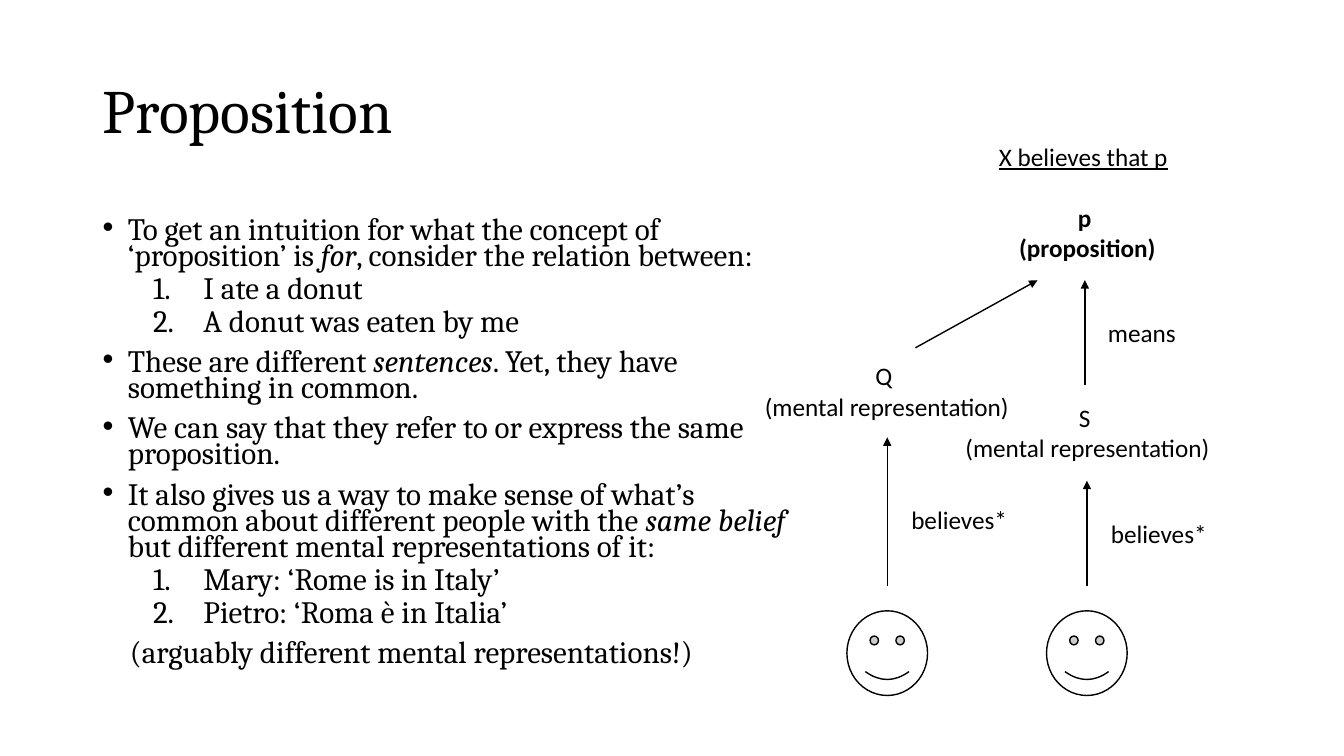
from pptx import Presentation
from pptx.dml.color import RGBColor
from pptx.enum import shapes, text
from pptx.oxml.ns import qn
from pptx.util import Inches, Pt
from lxml import etree

BLACK, WHITE = "000000", "FFFFFF"
LEFT, CENTER = text.PP_ALIGN.LEFT, text.PP_ALIGN.CENTER

# Kind of paragraph and its words; underscores enclose italics.
BODY = [
    ("bullet", "To get an intuition for what the concept of ‘proposition’ is _for_, "
               "consider the relation between:"),
    ("number", "I ate a donut"),
    ("number", "A donut was eaten by me"),
    ("bullet", "These are different _sentences_. Yet, they have something in common."),
    ("bullet", "We can say that they refer to or express the same proposition."),
    ("bullet", "It also gives us a way to make sense of what’s common about different "
               "people with the _same belief_ but different mental representations of it:"),
    ("number", "Mary: ‘Rome is in Italy’"),
    ("number", "Pietro: ‘Roma è in Italia’"),
    ("plain", "(arguably different mental representations!)"),
]
# Left margin and first-line indent in inches, space before in points.
LAYOUT = {"bullet": (0.25, -0.25, 10), "number": (1, -0.5, 5), "plain": (0.27, 0, 10)}


def color(value):
    return RGBColor.from_string(value)


def set_font(font, name, size):
    font.name, font.size = name, Pt(size)
    font.color.rgb = color(BLACK)


def add_title(page, words):
    title = page.shapes.title
    title.left, title.top = Inches(0.92), Inches(0.4)
    title.width, title.height = Inches(11.5), Inches(1.45)
    title.text_frame.text = words
    title.text_frame.vertical_anchor = text.MSO_ANCHOR.MIDDLE
    para = title.text_frame.paragraphs[0]
    para.alignment, para.line_spacing = LEFT, 0.9
    set_font(para.font, "Cambria", 44)


def set_marker(para, kind):
    left, indent, before = LAYOUT[kind]
    para.line_spacing, para.space_before = 0.7, Pt(before)
    props = para._p.get_or_add_pPr()
    props.set("marL", str(Inches(left)))
    props.set("indent", str(Inches(indent)))
    if kind == "bullet":
        etree.SubElement(props, qn("a:buFont"), typeface="Arial")
        etree.SubElement(props, qn("a:buChar"), char="•")
    elif kind == "number":
        para.level = 1
        etree.SubElement(props, qn("a:buFont"), typeface="+mj-lt")
        etree.SubElement(props, qn("a:buAutoNum"), type="arabicPeriod")


def add_body(page):
    box = page.shapes.add_textbox(Inches(0.92), Inches(1.75), Inches(6.97), Inches(5.31))
    frame = box.text_frame
    frame.word_wrap = True
    frame.vertical_anchor = text.MSO_ANCHOR.MIDDLE
    for index, (kind, words) in enumerate(BODY):
        para = frame.add_paragraph() if index else frame.paragraphs[0]
        set_marker(para, kind)
        set_font(para.font, "Cambria", 22.2)
        for part, piece in enumerate(words.split("_")):
            span = para.add_run()
            span.text = piece
            if part % 2:
                span.font.italic = True


def add_label(page, lines, left, top, width, bold=None, underline=None):
    """One line is set left, several lines are centred."""
    height = 0.4 if len(lines) == 1 else 0.71
    box = page.shapes.add_textbox(Inches(left), Inches(top), Inches(width), Inches(height))
    frame = box.text_frame
    frame.word_wrap = False
    frame.text = "\n".join(lines)
    for para in frame.paragraphs:
        para.alignment = LEFT if len(lines) == 1 else CENTER
        set_font(para.font, "Calibri", 18)
        para.font.bold, para.font.underline = bold, underline


def add_arrow(page, x1, y1, x2, y2):
    arrow = page.shapes.add_connector(
        shapes.MSO_CONNECTOR.STRAIGHT, Inches(x1), Inches(y1), Inches(x2), Inches(y2))
    arrow.line.color.rgb, arrow.line.width = color(BLACK), Pt(1)
    etree.SubElement(arrow.line._get_or_add_ln(), qn("a:tailEnd"), type="triangle")
    etree.SubElement(arrow._element.spPr, qn("a:effectLst"))


def add_believer(page, left, arrow_top, label_top):
    """A face, the arrow up from it and the arrow's label."""
    face = page.shapes.add_shape(
        shapes.MSO_SHAPE.SMILEY_FACE, Inches(left), Inches(6.06), Inches(0.8), Inches(0.84))
    face.shadow.inherit = False
    face.fill.solid()
    face.fill.fore_color.rgb = color(WHITE)
    face.line.color.rgb, face.line.width = color(BLACK), Pt(1)
    add_arrow(page, left + 0.4, 5.81, left + 0.4, arrow_top)
    add_label(page, ["believes*"], left + 0.54, label_top, 1.16)


def main():
    deck = Presentation()
    deck.slide_width, deck.slide_height = Inches(13.33), Inches(7.5)
    page = deck.slides.add_slide(deck.slide_layouts[5])
    add_title(page, "Proposition")
    add_body(page)

    add_label(page, ["X believes that p"], 9.81, 1.35, 1.9, underline=True)
    add_label(page, ["p ", "(proposition)"], 10, 1.96, 1.57, bold=True)
    add_label(page, ["Q ", "(mental representation)"], 7.47, 3.53, 2.65)
    add_label(page, ["S ", "(mental representation)"], 9.46, 3.94, 2.65)
    add_label(page, ["means"], 10.89, 3.1, 0.88)
    add_arrow(page, 9.08, 3.45, 10.29, 2.78)
    add_arrow(page, 10.76, 3.82, 10.76, 2.78)
    add_believer(page, 8.4, 4.34, 4.95)
    add_believer(page, 10.38, 4.77, 5.09)
    deck.save("out.pptx")


if __name__ == "__main__":
    main()
